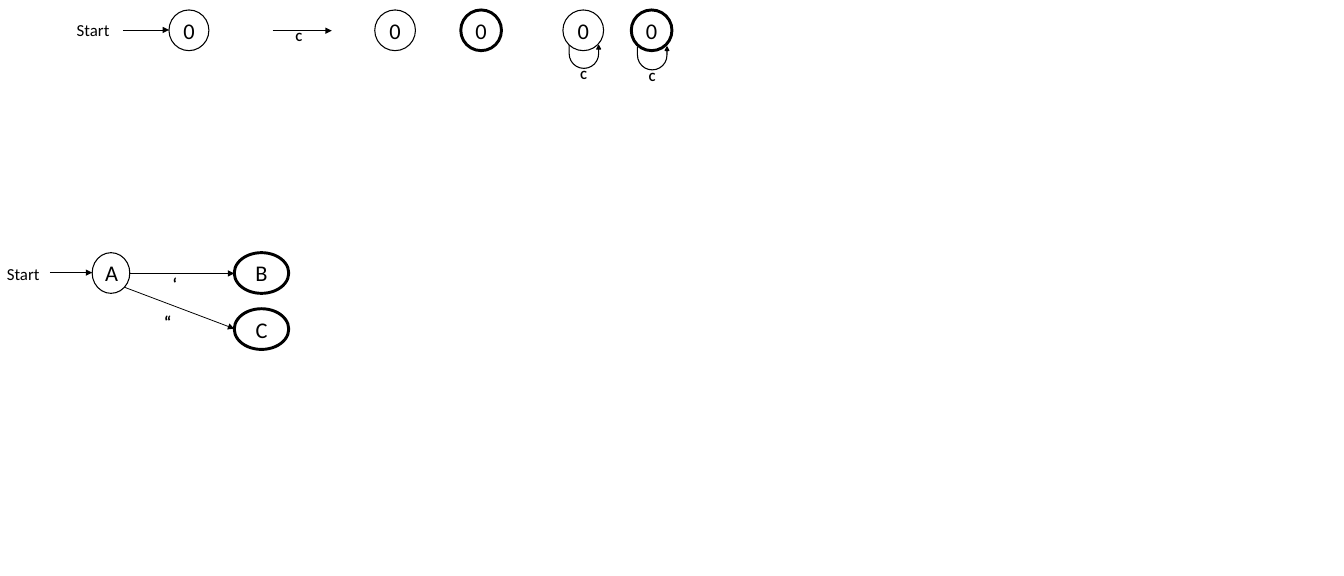
import pptx
import pptx.util
import pptx.dml.color
import pptx.enum.shapes
import pptx.enum.text
import pptx.oxml.ns
from lxml import etree

PX = 9144  # EMU per px, 100 px to the inch
BLACK = pptx.dml.color.RGBColor(0, 0, 0)
SHAPE = pptx.enum.shapes.MSO_SHAPE
ALIGN = pptx.enum.text.PP_ALIGN
THIN, BOLD = 1, 2.75
STATE = 53  # height of a state
LOOP_ADJUSTMENTS = (0, 0.085, 0.164, 0.717, 1)


def box_emu(*box):
    return [n * PX for n in box]


def write(sp, text, size, bold=False, align=ALIGN.LEFT):
    tf = sp.text_frame
    tf.word_wrap = True
    tf.vertical_anchor = pptx.enum.text.MSO_ANCHOR.MIDDLE
    p = tf.paragraphs[0]
    p.alignment = align
    r = p.add_run()
    r.text = text
    r.font.name = "Calibri"
    r.font.size = pptx.util.Pt(size)
    r.font.bold = bold
    r.font.color.rgb = BLACK


def label(s, text, x, y, w, h, size, bold=False):
    write(s.shapes.add_textbox(*box_emu(x, y, w, h)), text, size, bold)


def outlined(s, kind, x, y, w, h, weight):
    sp = s.shapes.add_shape(kind, *box_emu(x, y, w, h))
    sp.shadow.inherit = False
    sp.line.color.rgb = BLACK
    sp.line.width = pptx.util.Pt(weight)
    return sp


def state(s, name, x, y, w=STATE, weight=THIN):
    sp = outlined(s, SHAPE.OVAL, x, y, w, STATE, weight)
    sp.fill.background()
    write(sp, name, 21, align=ALIGN.CENTER)


def arrow(s, x1, y1, x2, y2):
    line = s.shapes.add_connector(pptx.enum.shapes.MSO_CONNECTOR.STRAIGHT,
                                  *box_emu(x1, y1, x2, y2))
    line.line.color.rgb = BLACK
    line.line.width = pptx.util.Pt(0.75)
    qn = pptx.oxml.ns.qn
    etree.SubElement(line.line._get_or_add_ln(), qn("a:tailEnd"), type="triangle")
    etree.SubElement(line._element.spPr, qn("a:effectLst"))


def symbol(s, x, y):
    label(s, "C", x, y, 22, 30, 11.8, bold=True)


def start_state(s, name, x, y, text_w, arrow_w, w, text_dy):
    """Start label, arrow and first state, side by side from x."""
    label(s, "Start", x, y + text_dy, text_w, 37, 15.8)
    tip = x + text_w + arrow_w
    arrow(s, x + text_w, y + 26, tip, y + 26)
    state(s, name, tip, y, w)


def looped_state(s, x, y, drop, weight):
    """State with an arrow back to itself, hung drop px below its top."""
    state(s, "0", x, y, weight=weight)
    loop = outlined(s, SHAPE.U_TURN_ARROW, x + 8, y + drop, 41, 30, THIN)
    loop.fill.solid()
    loop.fill.fore_color.rgb = BLACK
    for i, value in enumerate(LOOP_ADJUSTMENTS):
        loop.adjustments[i] = value
    loop.rotation = 180
    loop._element.spPr.xfrm.set("flipH", "1")
    symbol(s, x + 13, y + drop + 23)


def legend(s, x, y):
    """Row of the parts that a state diagram is made of."""
    start_state(s, "0", x, y, text_w=70, arrow_w=60, w=52, text_dy=7)
    arrow(s, x + 265, y + 27, x + 342, y + 27)
    symbol(s, x + 285, y + 20)
    state(s, "0", x + 398, y)
    state(s, "0", x + 510, y, weight=BOLD)
    looped_state(s, x + 643, y, 46, THIN)
    looped_state(s, x + 732, y, 48, BOLD)


def quote_diagram(s, x, y):
    """State A branching to the accepting states B and C."""
    start_state(s, "A", x, y, text_w=66, arrow_w=55, w=49, text_dy=9)
    for i, name in enumerate("BC"):
        state(s, name, x + 306, y + 73 * i, 71, BOLD)
    arrow(s, x + 170, y + 27, x + 306, y + 27)
    label(s, "‘", x + 216, y + 22, 31, 37, 16, bold=True)
    arrow(s, x + 163, y + 45, x + 306, y + 99)
    label(s, "“", x + 205, y + 71, 31, 37, 16, bold=True)


def main():
    prs = pptx.Presentation()
    prs.slide_width, prs.slide_height = box_emu(1750, 750)
    s = prs.slides.add_slide(prs.slide_layouts[6])
    legend(s, 90, 13)
    quote_diagram(s, -1, 329)
    prs.save("out.pptx")


if __name__ == "__main__":
    main()
